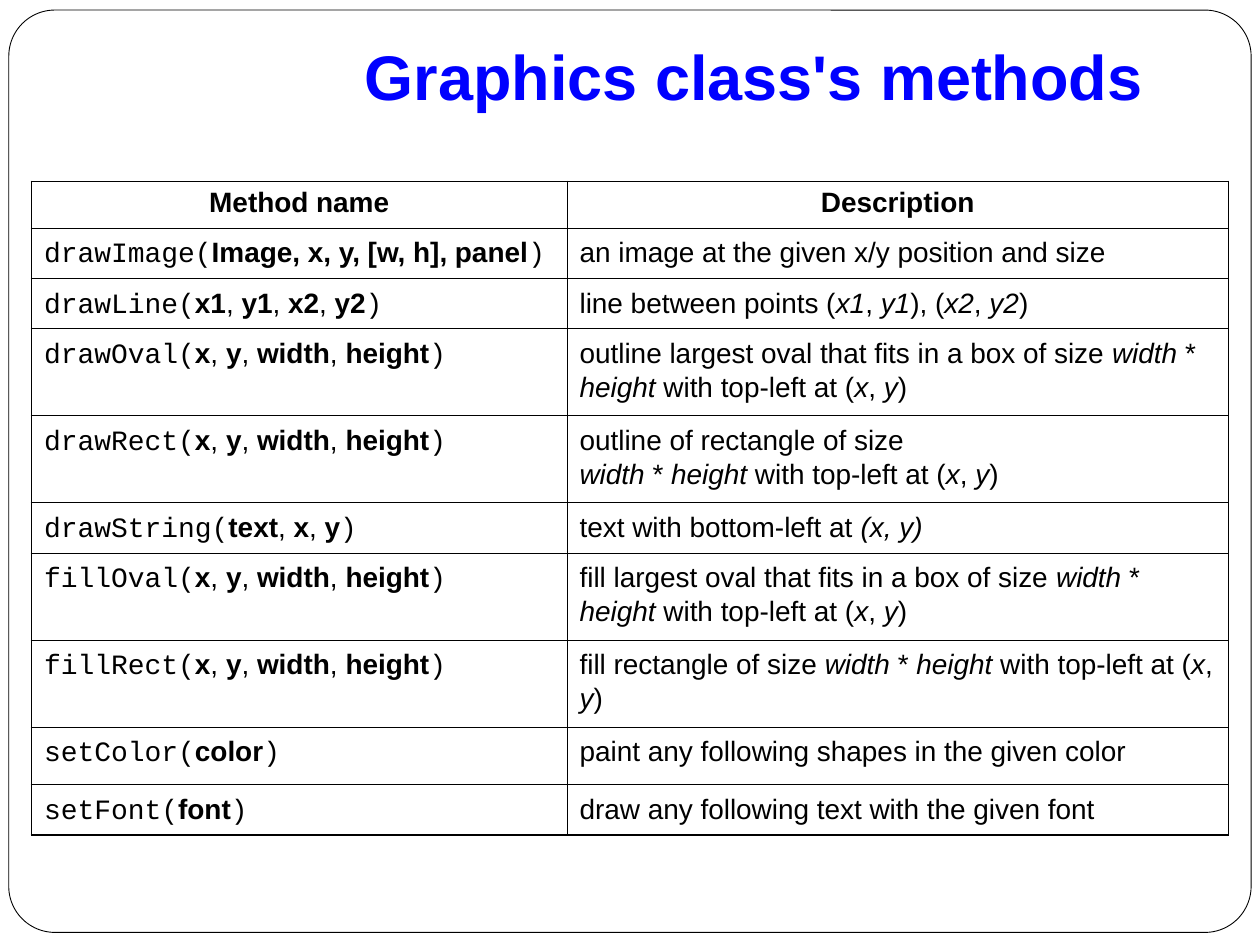
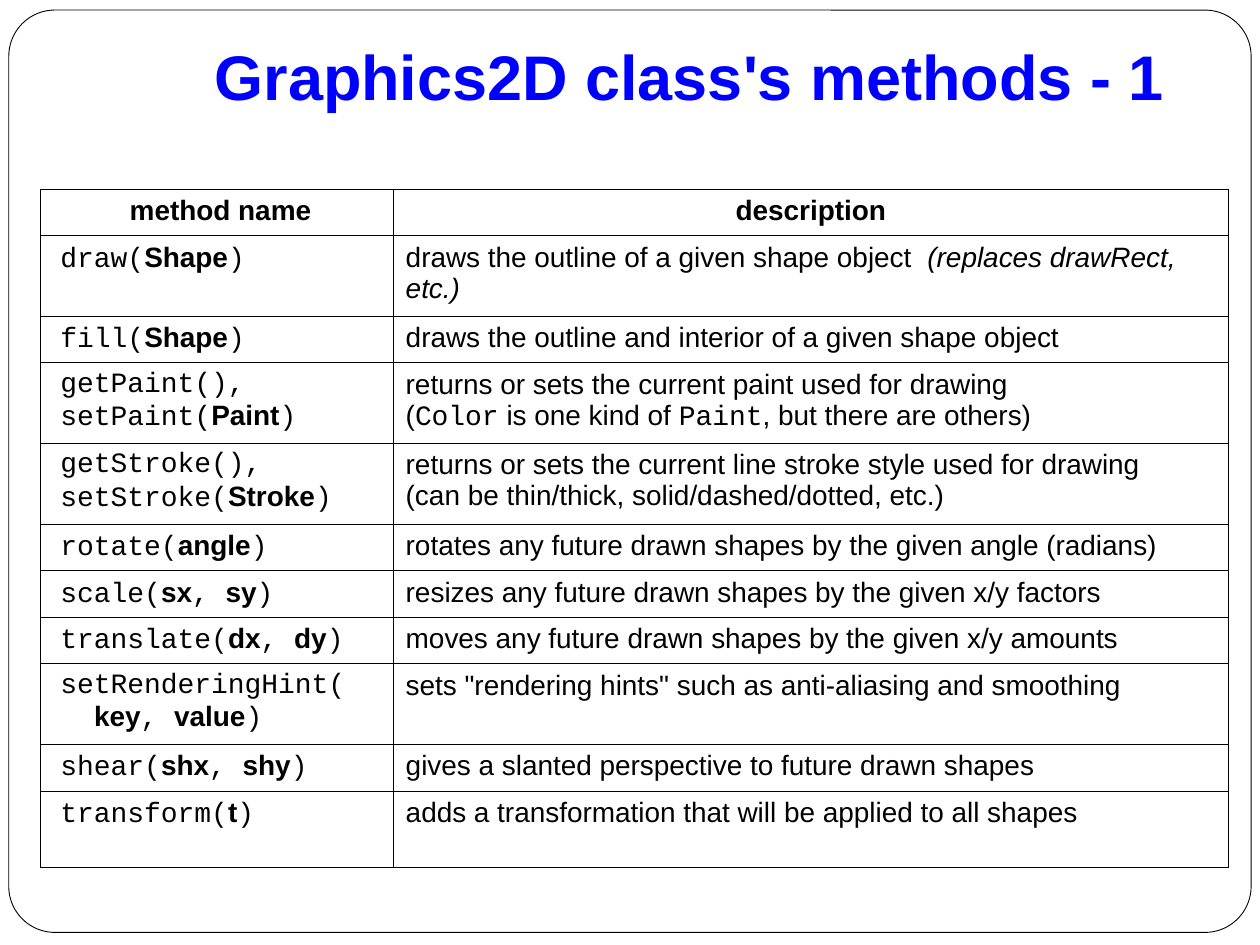
from copy import deepcopy
from dataclasses import dataclass
from itertools import cycle
from typing import NamedTuple

from lxml.etree import SubElement
from pptx import Presentation
from pptx.dml.color import RGBColor
from pptx.enum.shapes import MSO_SHAPE
from pptx.enum.text import MSO_ANCHOR, PP_ALIGN
from pptx.oxml.ns import qn
from pptx.util import Inches, Pt


@dataclass(frozen=True)
class Theme:
    ink: str = "000000"
    paper: str = "FFFFFF"
    title: str = "0000FF"
    sans: str = "Arial"
    mono: str = "Courier New"
    title_size: int = 36
    body_size: int = 16
    frame_line: float = 0.5
    grid_line: float = 0.45
    heavy_line: float = 1.08


THEME = Theme()
PLAIN = {"name": THEME.sans, "bold": False, "italic": False}
BOLD = {**PLAIN, "bold": True}
ITALIC = {**PLAIN, "italic": True}
CODE = {**PLAIN, "name": THEME.mono}


class Span(NamedTuple):
    text: str
    style: dict


class Method(NamedTuple):
    signature: list[Span]
    description: list[Span]
    height: float


@dataclass(frozen=True)
class MethodSlide:
    title: str
    title_left: float
    headings: tuple[str, str]
    left: float
    top: float
    column_widths: tuple[float, float]
    methods: list[Method]
    outer_line: float
    line_spacing: float = 1.0
    signature_indent: float = 0


def alternate(first: dict, second: dict, *texts: str) -> list[Span]:
    """Style the texts in turn with the first and the second style."""
    return [Span(text, style) for text, style in zip(texts, cycle((first, second)))]


def prose(*texts: str) -> list[Span]:
    """Plain text in which every second part is italic."""
    return alternate(PLAIN, ITALIC, *texts)


def call(opening: str, *parameters: str, comma: dict = PLAIN) -> list[Span]:
    """A method call in code type with bold parameters."""
    spans = [Span(opening, CODE)]
    for position, parameter in enumerate(parameters):
        if position:
            spans.append(Span(", ", comma))
        spans.append(Span(parameter, BOLD))
    return spans + [Span(")", CODE)]


def call_2d(opening: str, *parameters: str) -> list[Span]:
    return call(opening, *parameters, comma=CODE)


def box_call(name: str) -> list[Span]:
    return call(f"{name}(", "x", "y", "width", "height")


def box_prose(opening: str, width: str = "width", times: str = " * ") -> list[Span]:
    return prose(opening, width, times, "height", " with top-left at (", "x", ", ", "y", ")")


HEADER_HEIGHT = 0.37
LINE, TWO_LINES = 0.4, 0.69
LINE_2D, TWO_LINES_2D = 0.37, 0.64

GRAPHICS = MethodSlide(
    title="Graphics class's methods",
    title_left=0.75,
    headings=("Method name", "Description"),
    left=0.25,
    top=1.44,
    column_widths=(4.25, 5.25),
    outer_line=THEME.heavy_line,
    line_spacing=1.1,
    methods=[
        Method(call("drawImage(", "Image, x, y, [w, h], panel"),
               prose("an image at the given x/y position and size"), LINE),
        Method(call("drawLine(", "x1", "y1", "x2", "y2"),
               prose("line between points (", "x1", ", ", "y1", "), (", "x2", ", ", "y2", ")"),
               LINE),
        Method(box_call("drawOval"),
               box_prose("outline largest oval that fits in a box of size ", "width ", "* "),
               TWO_LINES),
        Method(box_call("drawRect"), box_prose("outline of rectangle of size\n"), TWO_LINES),
        Method(call("drawString(", "text", "x", "y"),
               prose("text with bottom-left at ", "(x, y)"), LINE),
        Method(box_call("fillOval"),
               box_prose("fill largest oval that fits in a box of size ", "width ", "* "),
               TWO_LINES),
        Method(box_call("fillRect"), box_prose("fill rectangle of size "), TWO_LINES),
        Method(call("setColor(", "color"),
               prose("paint any following shapes in the given color"), 0.46),
        Method(call("setFont(", "font"),
               prose("draw any following text with the given font"), LINE),
    ],
)

GRAPHICS_2D = MethodSlide(
    title="Graphics2D class's methods - 1",
    title_left=0.92,
    headings=("method name", "description"),
    left=0.32,
    top=1.5,
    column_widths=(2.8, 6.63),
    outer_line=THEME.grid_line,
    signature_indent=0.06,
    methods=[
        Method(call_2d("draw(", "Shape"),
               prose("draws the outline of a given shape object  ", "(replaces drawRect, etc.)"),
               TWO_LINES_2D),
        Method(call_2d("fill(", "Shape"),
               prose("draws the outline and interior of a given shape object"), LINE_2D),
        Method(call_2d("getPaint(),\nsetPaint(", "Paint"),
               alternate(PLAIN, CODE, "returns or sets the current paint used for drawing\n(",
                         "Color", " is one kind of ", "Paint", ", but there are others)"),
               TWO_LINES_2D),
        Method(call_2d("getStroke(),\nsetStroke(", "Stroke"),
               prose("returns or sets the current line stroke style used for drawing\n"
                     "(can be thin/thick, solid/dashed/dotted, etc.)"), TWO_LINES_2D),
        Method(call_2d("rotate(", "angle"),
               prose("rotates any future drawn shapes by the given angle (radians)"), LINE_2D),
        Method(call_2d("scale(", "sx", "sy"),
               prose("resizes any future drawn shapes by the given x/y factors"), LINE_2D),
        Method(call_2d("translate(", "dx", "dy"),
               prose("moves any future drawn shapes by the given x/y amounts"), LINE_2D),
        Method(call_2d("setRenderingHint(\n  ", "key", "value"),
               prose('sets "rendering hints" such as anti-aliasing and smoothing'),
               TWO_LINES_2D),
        Method(call_2d("shear(", "shx", "shy"),
               prose("gives a slanted perspective to future drawn shapes"), LINE_2D),
        Method(call_2d("transform(", "t"),
               prose("adds a transformation that will be applied to all shapes"), 0.61),
    ],
)


def rgb(color: str) -> RGBColor:
    return RGBColor.from_string(color)


def write(paragraph, spans: list[Span], size: int = THEME.body_size,
          color: str = THEME.ink) -> None:
    """Add the spans as runs; each newline becomes a line break of the same size."""
    for span in spans:
        for number, line in enumerate(span.text.split("\n")):
            if number:
                paragraph.add_line_break()
                paragraph._p[-1].append(deepcopy(run._r.rPr))
            if not line:
                continue
            run = paragraph.add_run()
            run.text = line
            for attribute, value in {**span.style, "size": Pt(size)}.items():
                setattr(run.font, attribute, value)
            run.font.color.rgb = rgb(color)


def add_frame(slide) -> None:
    frame = slide.shapes.add_shape(MSO_SHAPE.ROUNDED_RECTANGLE, Inches(0.07), Inches(0.08),
                                   Inches(9.86), Inches(7.32))
    frame.adjustments[0] = 0.05
    frame.shadow.inherit = False
    frame.fill.solid()
    frame.fill.fore_color.rgb = rgb(THEME.paper)
    frame.line.color.rgb = rgb(THEME.ink)
    frame.line.width = Pt(THEME.frame_line)


def add_title(slide, title: str, left: float) -> None:
    box = slide.shapes.add_textbox(Inches(left), Inches(0.25), Inches(8.42), Inches(0.75))
    settings = {"word_wrap": True, "vertical_anchor": MSO_ANCHOR.BOTTOM,
                "margin_bottom": Inches(0.1)}
    for attribute, value in settings.items():
        setattr(box.text_frame, attribute, value)
    paragraph = box.text_frame.paragraphs[0]
    paragraph.alignment = PP_ALIGN.RIGHT
    write(paragraph, [Span(title, BOLD)], THEME.title_size, THEME.title)


def set_borders(cell, widths: dict[str, float]) -> None:
    """Draw the cell's borders; the keys are L, R, T and B, in that order."""
    properties = cell._tc.get_or_add_tcPr()
    for side, width in widths.items():
        border = SubElement(properties, qn(f"a:ln{side}"), w=str(Pt(width)))
        fill = SubElement(border, qn("a:solidFill"))
        SubElement(fill, qn("a:srgbClr"), val=THEME.ink)


def add_method_table(slide, content: MethodSlide) -> None:
    heights = [HEADER_HEIGHT, *(method.height for method in content.methods)]
    rows = [[[Span(heading, BOLD)] for heading in content.headings]]
    rows += [[method.signature, method.description] for method in content.methods]
    table = slide.shapes.add_table(
        len(rows), 2, Inches(content.left), Inches(content.top),
        Inches(sum(content.column_widths)), Inches(sum(heights))).table
    table.first_row = table.horz_banding = False
    for column, width in zip(table.columns, content.column_widths):
        column.width = Inches(width)
    for r, (height, row) in enumerate(zip(heights, rows)):
        table.rows[r].height = Inches(height)
        for c, spans in enumerate(row):
            cell = table.cell(r, c)
            on_edge = {"L": c == 0, "R": c == 1, "T": r == 0, "B": r == len(rows) - 1}
            set_borders(cell, {side: content.outer_line if outer else THEME.grid_line
                               for side, outer in on_edge.items()})
            cell.fill.background()
            paragraph = cell.text_frame.paragraphs[0]
            if r == 0:
                paragraph.alignment = PP_ALIGN.CENTER
            else:
                paragraph.line_spacing = content.line_spacing
            if c == 0 and content.signature_indent:
                paragraph._p.get_or_add_pPr().set("marL", str(Inches(content.signature_indent)))
            write(paragraph, spans)


def main() -> None:
    deck = Presentation()
    deck.slide_width, deck.slide_height = Inches(10), Inches(7.5)
    for content in (GRAPHICS, GRAPHICS_2D):
        slide = deck.slides.add_slide(deck.slide_layouts[6])
        add_frame(slide)
        add_title(slide, content.title, content.title_left)
        add_method_table(slide, content)
    deck.save("out.pptx")


if __name__ == "__main__":
    main()
